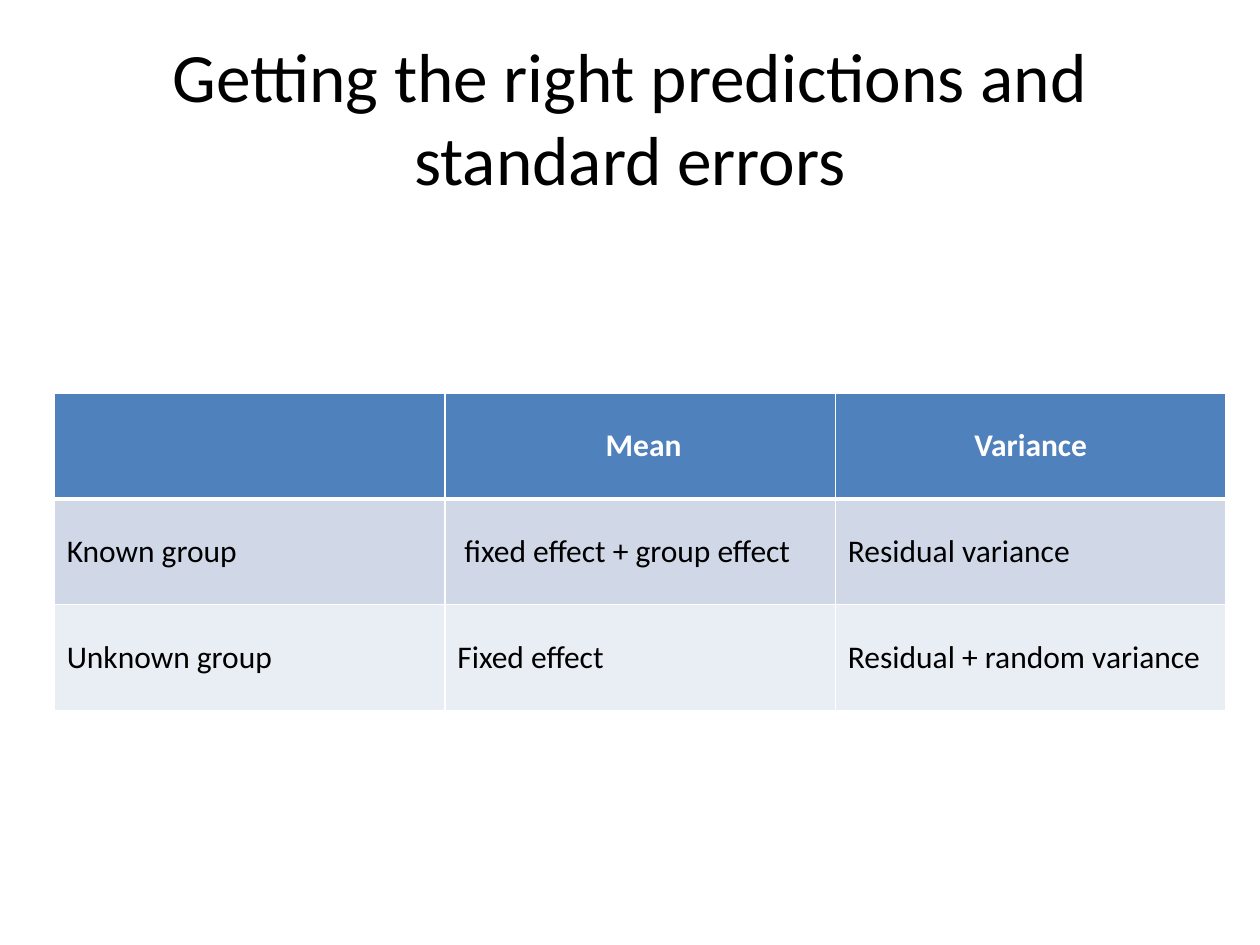
import pptx
import pptx.util
import pptx.dml.color
import pptx.enum.text
import lxml.etree
from pptx.util import Inches, Pt

TITLE = "Getting the right predictions and standard errors"
ROWS = [
    ("", " Mean", "Variance"),
    ("Known group", " fixed effect + group effect", "Residual variance"),
    ("Unknown group", "Fixed effect", "Residual + random variance"),
]
COLORS = {"head": "4F81BD", "odd": "D0D8E8", "even": "E9EDF4",
          "white": "FFFFFF", "black": "000000"}
FILLS = ("head", "odd", "even")
COL_W, ROW_H = 3.1, 0.84
NS = "http://schemas.openxmlformats.org/drawingml/2006/main"
ALIGN = pptx.enum.text.PP_ALIGN
MIDDLE = pptx.enum.text.MSO_ANCHOR.MIDDLE


def color(name):
    return pptx.dml.color.RGBColor.from_string(COLORS[name])


def style(para, size, name, align, bold=False):
    para.alignment = align
    para.font.name = "Calibri"
    para.font.size = Pt(size)
    para.font.bold = bold
    para.font.color.rgb = color(name)


def border(cell, side, width):
    props = cell._tc.get_or_add_tcPr()
    line = lxml.etree.SubElement(props, f"{{{NS}}}ln{side}", w=str(Pt(width)))
    fill = lxml.etree.SubElement(line, f"{{{NS}}}solidFill")
    lxml.etree.SubElement(fill, f"{{{NS}}}srgbClr", val=COLORS["white"])


deck = pptx.Presentation()
deck.slide_width, deck.slide_height = Inches(10), Inches(7.5)
slide = deck.slides.add_slide(deck.slide_layouts[6])

title = slide.shapes.add_textbox(Inches(0.5), Inches(0.3), Inches(9), Inches(1.25))
frame = title.text_frame
frame.word_wrap = True
frame.vertical_anchor = MIDDLE
frame.text = TITLE
style(frame.paragraphs[0], 39.6, "black", ALIGN.CENTER)

count = len(ROWS[0])
table = slide.shapes.add_table(
    len(ROWS), count, Inches(0.43), Inches(3.12),
    Inches(COL_W * count), Inches(ROW_H * len(ROWS))).table
for col in table.columns:
    col.width = Inches(COL_W)
for r, row in enumerate(ROWS):
    table.rows[r].height = Inches(ROW_H)
    head = r == 0
    for c, text in enumerate(row):
        cell = table.cell(r, c)
        cell.text = text
        cell.vertical_anchor = MIDDLE
        style(cell.text_frame.paragraphs[0], 18, "white" if head else "black",
              ALIGN.CENTER if head else ALIGN.LEFT, head)
        for side in "LRTB":
            thick = (head and side == "B") or (r == 1 and side == "T")
            border(cell, side, 3 if thick else 1)
        cell.fill.solid()
        cell.fill.fore_color.rgb = color(FILLS[r])

deck.save("out.pptx")
